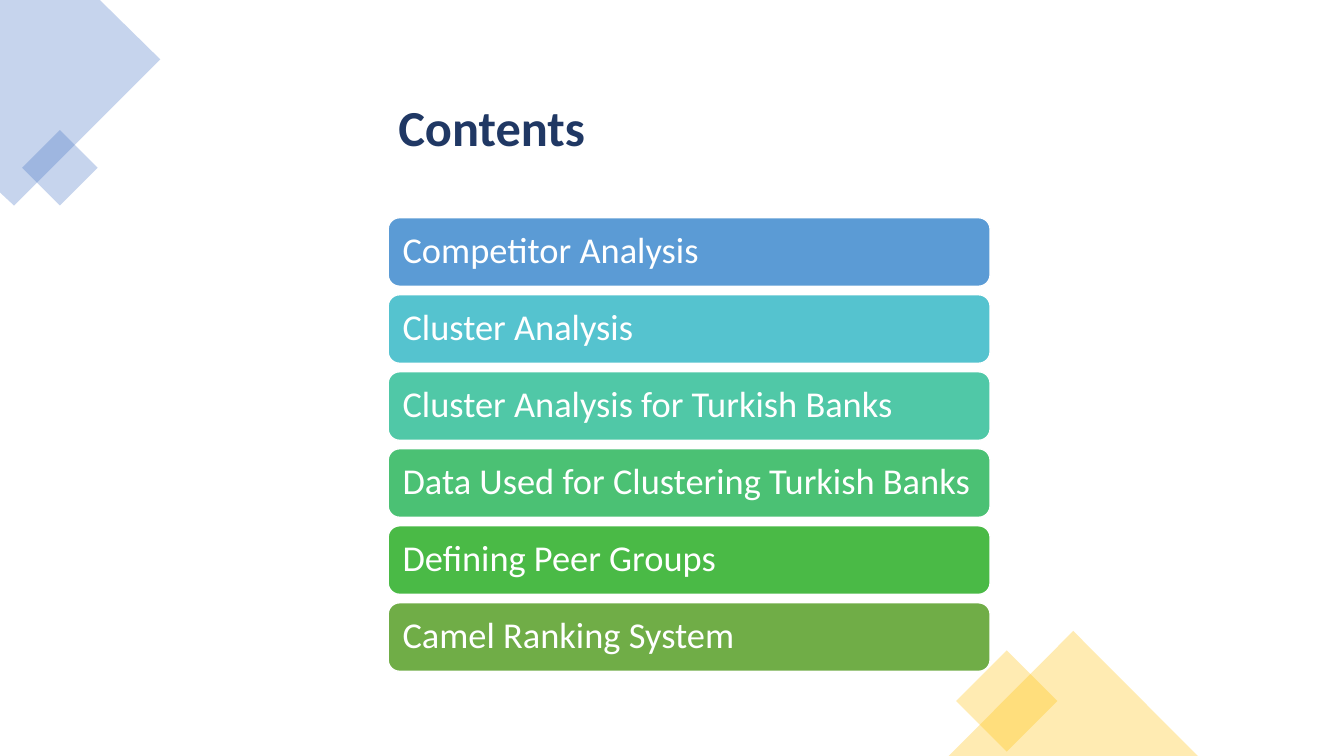
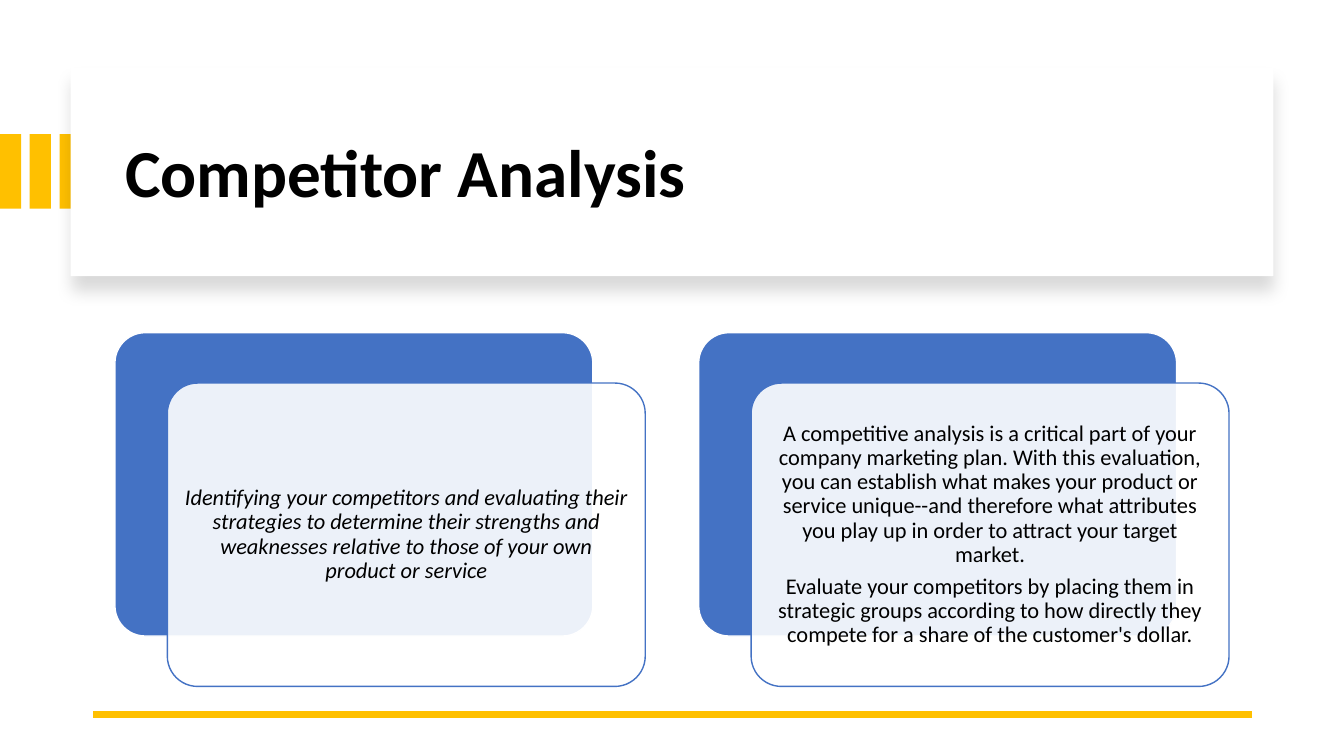
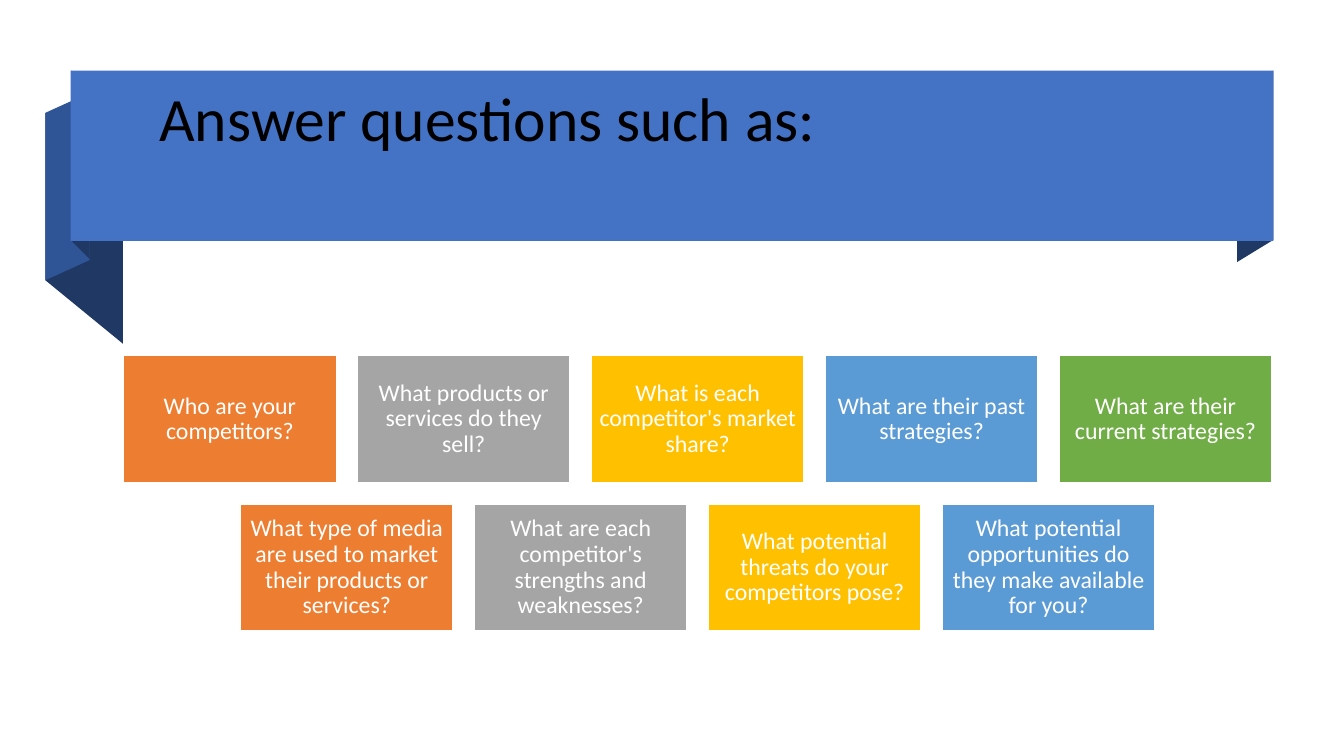
from lxml import etree
from pptx import Presentation
from pptx.dml.color import RGBColor
from pptx.enum import shapes, text
from pptx.oxml.ns import qn
from pptx.util import Inches, Pt

COLORS = {
    "white": "FFFFFF", "black": "000000", "navy": "203864", "dark_blue": "2F5597",
    "blue": "4472C4", "sky": "5B9BD5", "gold": "FFC000", "orange": "ED7D31",
    "gray": "A5A5A5", "green": "70AD47", "turquoise": "55C3CF", "mint": "50C8A7",
    "emerald": "4BC174", "leaf": "4ABA46",
}
FONT = "Calibri"
LEFT, CENTER = text.PP_ALIGN.LEFT, text.PP_ALIGN.CENTER
TOP, MIDDLE = text.MSO_ANCHOR.TOP, text.MSO_ANCHOR.MIDDLE
SHAPE = shapes.MSO_SHAPE


def paint(shape, fill, line=None, opacity=100):
    """Give a shape a flat fill and an optional 1 pt outline, without shadow."""
    shape.shadow.inherit = False
    shape.fill.solid()
    shape.fill.fore_color.rgb = RGBColor.from_string(COLORS[fill])
    if opacity < 100:
        color = shape.element.find(".//" + qn("a:srgbClr"))
        etree.SubElement(color, qn("a:alpha"), val=str(opacity * 1000))
    if line:
        shape.line.color.rgb = RGBColor.from_string(COLORS[line])
        shape.line.width = Pt(1)
    else:
        shape.line.fill.background()
    return shape


def write(shape, paragraphs, color, align=CENTER, anchor=MIDDLE, margin=None, **font):
    """Fill a shape with paragraphs; font holds attributes of each run's font."""
    frame = shape.text_frame
    frame.word_wrap = True
    frame.auto_size = text.MSO_AUTO_SIZE.NONE
    frame.vertical_anchor = anchor
    if margin is not None:
        for side in ("left", "top", "right", "bottom"):
            setattr(frame, f"margin_{side}", Inches(margin))
    for index, words in enumerate(paragraphs):
        paragraph = frame.add_paragraph() if index else frame.paragraphs[0]
        paragraph.alignment = align
        paragraph.line_spacing = 0.9
        paragraph.space_before = Pt(5.6 if index else 0)
        run = paragraph.add_run()
        run.text = words
        run.font.color.rgb = RGBColor.from_string(COLORS[color])
        for name, value in {"name": FONT, **font}.items():
            setattr(run.font, name, value)


presentation = Presentation()
presentation.slide_width, presentation.slide_height = Inches(13.33), Inches(7.5)
title_only = presentation.slide_layouts[5]

titles = [
    ("Contents", (3.85, 0.62, 5.25, 1.34),
     {"size": Pt(36), "bold": True, "color": "navy", "anchor": MIDDLE}),
    ("Competitor Analysis", (1.14, 0.89, 11.13, 1.7),
     {"size": Pt(48), "bold": True, "color": "black", "anchor": MIDDLE}),
    ("Answer questions such as:", (1.48, 0.83, 10.94, 1.45),
     {"size": Pt(44), "bold": False, "color": "black", "anchor": TOP}),
]
slides = []
for words, box, style in titles:
    slide = presentation.slides.add_slide(title_only)
    title = slide.shapes.title
    title.left, title.top, title.width, title.height = map(Inches, box)
    write(title, [words], align=LEFT, **style)
    slides.append(slide)
contents, competitor, questions = slides

# Contents
corner = [(0, 0), (0.99, 0), (1.59, 0.59), (0.14, 2.04), (0, 1.91)]
points = [(Inches(x), Inches(y)) for x, y in corner]
builder = contents.shapes.build_freeform(*points[0])
builder.add_line_segments(points[1:], close=True)
paint(builder.convert_to_shape(), "blue", opacity=30)

for kind, box, rotation, color in [
    (SHAPE.RECTANGLE, (0.33, 1.4, 0.53, 0.53), 45, "blue"),
    (SHAPE.RECTANGLE, (9.63, 6.6, 0.71, 0.71), 45, "gold"),
    (SHAPE.ISOSCELES_TRIANGLE, (9.41, 6.26, 2.47, 1.24), 0, "gold"),
]:
    ornament = contents.shapes.add_shape(kind, *map(Inches, box))
    ornament.rotation = rotation
    paint(ornament, color, opacity=30)

topics = [
    ("Competitor Analysis", "sky"),
    ("Cluster Analysis", "turquoise"),
    ("Cluster Analysis for Turkish Banks", "mint"),
    ("Data Used for Clustering Turkish Banks", "emerald"),
    ("Defining Peer Groups", "leaf"),
    ("Camel Ranking System", "green"),
]
first_top, last_top = 2.16, 5.98
for index, (topic, color) in enumerate(topics):
    top = first_top + index * (last_top - first_top) / (len(topics) - 1)
    bar = contents.shapes.add_shape(
        SHAPE.ROUNDED_RECTANGLE, Inches(3.85), Inches(top), Inches(5.97), Inches(0.68))
    paint(bar, color, "white")
    write(bar, [topic], "white", LEFT, margin=0.11, size=Pt(26))

# Competitor Analysis
for index in range(3):
    stripe = competitor.shapes.add_shape(
        SHAPE.RECTANGLE, Inches(0.59 * index / 2), Inches(1.33), Inches(0.21), Inches(0.74))
    paint(stripe, "gold")

title_card = competitor.shapes.add_shape(
    SHAPE.RECTANGLE, Inches(0.7), Inches(0.67), Inches(11.93), Inches(2.07))
paint(title_card, "white")
effects = title_card.element.spPr.find(qn("a:effectLst"))
card_shadow = etree.SubElement(
    effects, qn("a:outerShdw"), blurRad=str(Pt(11)), dist=str(Pt(10)),
    dir="5400000", algn="t", rotWithShape="0")
shadow_color = etree.SubElement(card_shadow, qn("a:srgbClr"), val=COLORS["black"])
etree.SubElement(shadow_color, qn("a:alpha"), val="15000")

rule = competitor.shapes.add_connector(
    shapes.MSO_CONNECTOR.STRAIGHT, Inches(12.42), Inches(7.09), Inches(0.92), Inches(7.09))
rule.line.color.rgb = RGBColor.from_string(COLORS["gold"])
rule.line.width = Pt(4.5)
etree.SubElement(rule.element.spPr, qn("a:effectLst"))

definition = [
    "Identifying your competitors and evaluating their strategies to determine their "
    "strengths and weaknesses relative to those of your own product or service",
]
purpose = [
    "A competitive analysis is a critical part of your company marketing plan. With this "
    "evaluation, you can establish what makes your product or service unique--and therefore "
    "what attributes you play up in order to attract your target market.",
    "Evaluate your competitors by placing them in strategic groups according to how "
    "directly they compete for a share of the customer's dollar.",
]
for left, paragraphs, italic in [(1.14, definition, True), (6.93, purpose, False)]:
    for shift, fill, line, opacity in [(0, "blue", "white", 100), (0.52, "white", "blue", 90)]:
        card = competitor.shapes.add_shape(
            SHAPE.ROUNDED_RECTANGLE, Inches(left + shift), Inches(3.3 + (0.5 if shift else 0)),
            Inches(4.74), Inches(3.01))
        card.adjustments[0] = 0.1
        paint(card, fill, line, opacity)
    write(card, paragraphs, "black", margin=0.07, size=Pt(16), italic=italic)

# Answer questions such as
ribbon_folds = [
    ("navy", [(12.63, 2.38), (12.27, 2.6), (12.27, 0.91), (12.63, 0.7)]),
    ("navy", [(1.22, 3.41), (0.45, 2.78), (0.45, 1.12), (1.22, 1.75)]),
    ("dark_blue", [(0.89, 2.58), (0.45, 2.78), (0.45, 1.12), (0.89, 0.92)]),
    ("navy", [(0.89, 2.57), (0.71, 2.39), (0.71, 0.7), (0.89, 0.89)]),
]
for color, corners in ribbon_folds:
    points = [(Inches(x), Inches(y)) for x, y in corners]
    builder = questions.shapes.build_freeform(*points[0])
    builder.add_line_segments(points[1:], close=True)
    paint(builder.convert_to_shape(), color)
ribbon = questions.shapes.add_shape(
    SHAPE.RECTANGLE, Inches(0.7), Inches(0.7), Inches(11.93), Inches(1.69))
paint(ribbon, "blue")

question_rows = [
    ["Who are your competitors?",
     "What products or services do they sell?",
     "What is each competitor's market share?",
     "What are their past strategies?",
     "What are their current strategies?"],
    ["What type of media are used to market their products or services?",
     "What are each competitor's strengths and weaknesses?",
     "What potential threats do your competitors pose?",
     "What potential opportunities do they make available for you?"],
]
tile_colors = ["orange", "gray", "gold", "sky", "green"]
tile_width, tile_height, gap, grid_center = 2.11, 1.26, 0.21, 6.92
for row, row_questions in enumerate(question_rows):
    row_width = len(row_questions) * (tile_width + gap) - gap
    top = 3.53 + row * (tile_height + gap)
    for column, (question, color) in enumerate(zip(row_questions, tile_colors)):
        left = grid_center - row_width / 2 + column * (tile_width + gap)
        tile = questions.shapes.add_shape(
            SHAPE.RECTANGLE, Inches(left), Inches(top), Inches(tile_width), Inches(tile_height))
        paint(tile, color, "white")
        write(tile, [question], "white", margin=0.07, size=Pt(17))

# Titles lie above the card and the ribbon
for slide in slides:
    title_element = slide.shapes.title.element
    title_element.getparent().append(title_element)

presentation.save("out.pptx")
